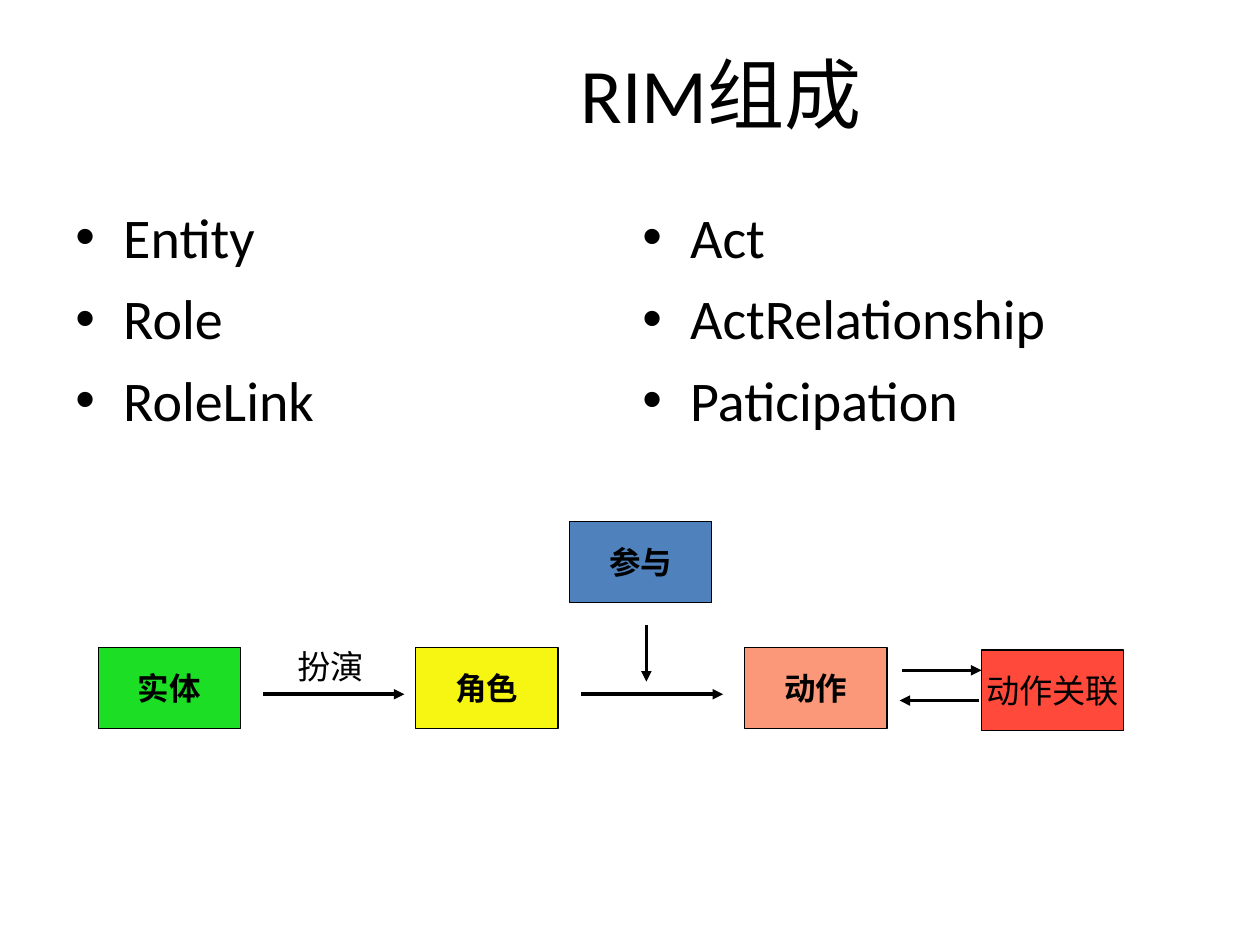
"""Build the RIM composition slide with two bullet lists and a relation diagram."""
from lxml.etree import SubElement
from pptx import Presentation
from pptx.dml.color import RGBColor
from pptx.enum.shapes import MSO_CONNECTOR, MSO_SHAPE
from pptx.enum.text import MSO_ANCHOR, PP_ALIGN
from pptx.oxml.ns import qn
from pptx.util import Inches, Pt


def rgb(value):
    return RGBColor.from_string(value)


def add_run(p, text, size, font, bold=False):
    r = p.add_run()
    r.text = text
    r.font.size = Pt(size)
    r.font.name = font
    r.font.bold = bold
    r.font.color.rgb = rgb("000000")


prs = Presentation()
prs.slide_width, prs.slide_height = Inches(10), Inches(7.5)
s = prs.slides.add_slide(prs.slide_layouts[6])

sp = s.shapes.add_textbox(Inches(1.95), Inches(0.3), Inches(7.55), Inches(0.87))
tf = sp.text_frame
tf.word_wrap = True
tf.vertical_anchor = MSO_ANCHOR.MIDDLE
p = tf.paragraphs[0]
p.alignment = PP_ALIGN.CENTER
add_run(p, "RIM组成", 44, "Calibri")

lists = [
    (0.5, ["Entity", "Role", "RoleLink"]),
    (5, ["Act", "ActRelationship", "Paticipation"]),
]
for x, items in lists:
    sp = s.shapes.add_textbox(Inches(x), Inches(1.56), Inches(4.5), Inches(5.62))
    tf = sp.text_frame
    tf.word_wrap = True
    for i, item in enumerate(items):
        p = tf.add_paragraph() if i else tf.paragraphs[0]
        if i:
            p.space_before = Pt(8)
        pPr = p._p.get_or_add_pPr()
        pPr.set("marL", str(Inches(0.38)))
        pPr.set("indent", str(Inches(-0.38)))
        SubElement(pPr, qn("a:buFont"), typeface="Arial")
        SubElement(pPr, qn("a:buChar"), char="•")
        add_run(p, item, 32, "Calibri")

boxes = [
    ("实体", 0.78, 5.14, "1CDE25", 18, True),
    ("角色", 3.3, 5.14, "F6F612", 18, True),
    ("参与", 4.52, 4.14, "4F81BD", 18, True),
    ("动作", 5.91, 5.14, "FB9879", 18, True),
    ("动作关联", 7.79, 5.16, "FF493B", 19, False),
]
for text, x, y, fill, size, bold in boxes:
    sp = s.shapes.add_shape(MSO_SHAPE.RECTANGLE, Inches(x), Inches(y), Inches(1.13), Inches(0.64))
    sp.shadow.inherit = False
    sp.fill.solid()
    sp.fill.fore_color.rgb = rgb(fill)
    sp.line.color.rgb = rgb("000000")
    sp.line.width = Pt(0.75)
    tf = sp.text_frame
    tf.word_wrap = False
    tf.vertical_anchor = MSO_ANCHOR.MIDDLE
    p = tf.paragraphs[0]
    p.alignment = PP_ALIGN.CENTER
    add_run(p, text, size, "Arial", bold)

sp = s.shapes.add_textbox(Inches(2.26), Inches(5.08), Inches(0.74), Inches(0.42))
tf = sp.text_frame
tf.word_wrap = True
tf.margin_left = Inches(0.1)
tf.margin_right = Inches(0)
add_run(tf.paragraphs[0], "扮演", 19, "Arial")

arrows = [
    (2.09, 5.51, 3.21, 5.51),
    (5.13, 4.96, 5.13, 5.41),
    (4.61, 5.51, 5.74, 5.51),
    (7.16, 5.32, 7.79, 5.32),
    (7.77, 5.56, 7.14, 5.56),
]
for arrow in arrows:
    cn = s.shapes.add_connector(MSO_CONNECTOR.STRAIGHT, *[Inches(v) for v in arrow])
    cn.line.color.rgb = rgb("000000")
    cn.line.width = Pt(2)
    spPr = cn._element.spPr
    SubElement(spPr.get_or_add_ln(), qn("a:tailEnd"), type="triangle")
    SubElement(spPr, qn("a:effectLst"))

prs.save("out.pptx")
